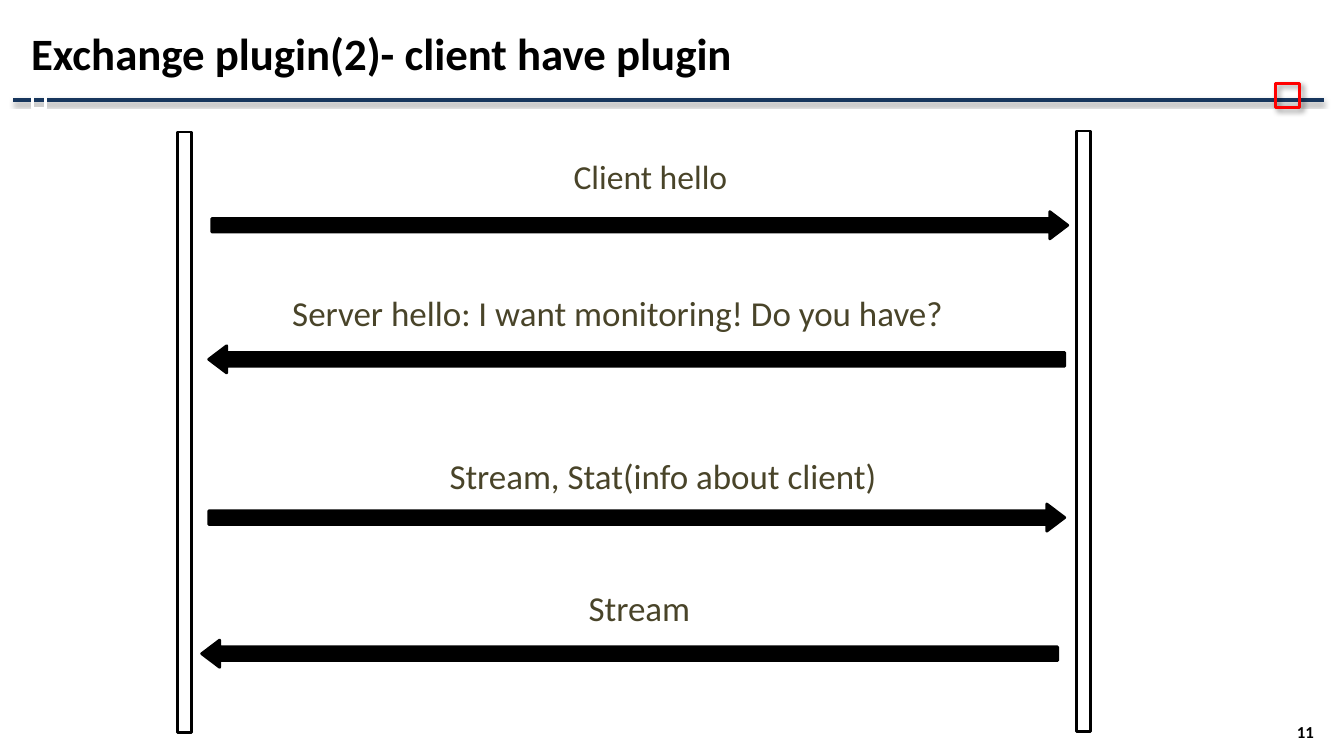
from lxml import etree
from pptx import Presentation, util as u
from pptx.dml.color import RGBColor
from pptx.enum import shapes, text
from pptx.oxml.ns import qn

WIDTH, HEIGHT = 13.33, 7.5
INK, OLIVE, NAVY, RED, WHITE = "000000", "494429", "17365D", "FF0000", "FFFFFF"
TITLE = "Exchange plugin(2)- client have plugin"
PAGE = "11"
LIFELINES = [(1.76, 1.31), (10.68, 1.3)]
LIFELINE_SIZE = (0.14, 5.96)
ARROW_SIZE = (8.49, 0.27)
LABEL_HEIGHT = 0.58
MESSAGES = [
    {"label": "Client hello", "box": (5.47, 1.54, 2), "size": 24, "spacing": 0.9,
     "arrow": (2.1, 2.1), "turn": 0},
    {"label": "Server hello: I want monitoring! Do you have?", "box": (2.68, 2.84, 6.82),
     "size": 25, "spacing": 1, "arrow": (2.07, 3.43), "turn": 180},
    {"label": "Stream, Stat(info about client)", "box": (4.24, 4.46, 4.86),
     "size": 25, "spacing": 1, "arrow": (2.07, 5), "turn": 0},
    {"label": "Stream", "box": (5.62, 5.77, 1.34),
     "size": 25, "spacing": 1, "arrow": (2, 6.35), "turn": 180},
]

deck = Presentation()
deck.slide_width, deck.slide_height = u.Inches(WIDTH), u.Inches(HEIGHT)
slide = deck.slides.add_slide(deck.slide_layouts[6])


def inches(*lengths):
    return [u.Inches(length) for length in lengths]


def rgb(color):
    return RGBColor.from_string(color)


def apply(target, values):
    for key, value in values.items():
        setattr(target, key, value)


def outline(part, color, width):
    part.line.color.rgb = rgb(color)
    part.line.width = u.Pt(width)


def cast_shadow(part, opacity, blur, distance, angle):
    properties = part._element.spPr
    for previous in properties.findall(qn("a:effectLst")):
        properties.remove(previous)
    effects = etree.SubElement(properties, qn("a:effectLst"))
    shade = etree.SubElement(effects, qn("a:outerShdw"), blurRad=str(u.Pt(blur)),
                             dist=str(u.Pt(distance)), dir=str(angle * 60000),
                             rotWithShape="0")
    tint = etree.SubElement(shade, qn("a:srgbClr"), val=INK)
    etree.SubElement(tint, qn("a:alpha"), val=str(opacity * 1000))


def add_block(kind, box, fill, line, width):
    block = slide.shapes.add_shape(kind, *inches(*box))
    block.shadow.inherit = False
    if fill:
        block.fill.solid()
        block.fill.fore_color.rgb = rgb(fill)
    else:
        block.fill.background()
    outline(block, line, width)
    return block


def add_words(words, box, size, color, bold=False, frame=None, paragraph=None):
    holder = slide.shapes.add_textbox(*inches(*box)).text_frame
    apply(holder, {"word_wrap": True, **(frame or {})})
    line = holder.paragraphs[0]
    apply(line, paragraph or {})
    run = line.add_run()
    run.text = words
    apply(run.font, {"name": "Calibri", "size": u.Pt(size), "bold": bold})
    run.font.color.rgb = rgb(color)
    return line


RECT = shapes.MSO_SHAPE.RECTANGLE
MIDDLE = {"vertical_anchor": text.MSO_ANCHOR.MIDDLE}

rule = slide.shapes.add_connector(shapes.MSO_CONNECTOR.STRAIGHT,
                                  *inches(0.13, 0.99, 13.13, 0.99))
outline(rule, NAVY, 3)
cast_shadow(rule, 35, 3.1, 1.8, 90)
add_block(RECT, (0.32, 0.92, 0.13, 0.16), None, WHITE, 2.25)
marker = add_block(RECT, (12.65, 0.83, 0.24, 0.24), None, RED, 2.25)
cast_shadow(marker, 40, 4, 3, 45)

add_words(PAGE, (12.18, 7.14, 0.95, 0.24), 12, INK, True, MIDDLE,
          {"alignment": text.PP_ALIGN.RIGHT})
add_words(TITLE, (0.21, 0.05, 12.92, 0.95), 32, INK, True, MIDDLE)

for corner in LIFELINES:
    add_block(RECT, corner + LIFELINE_SIZE, WHITE, INK, 2)

for message in MESSAGES:
    arrow = add_block(shapes.MSO_SHAPE.RIGHT_ARROW, message["arrow"] + ARROW_SIZE, INK, INK, 2)
    arrow.adjustments[0], arrow.adjustments[1] = 0.5, 0.66
    arrow.rotation = message["turn"]
    label = add_words(message["label"], message["box"] + (LABEL_HEIGHT,), message["size"], OLIVE,
                      paragraph={"space_before": u.Pt(8), "line_spacing": message["spacing"]})
    label._p.get_or_add_pPr().set("marL", str(u.Inches(0.12)))

deck.save("out.pptx")
